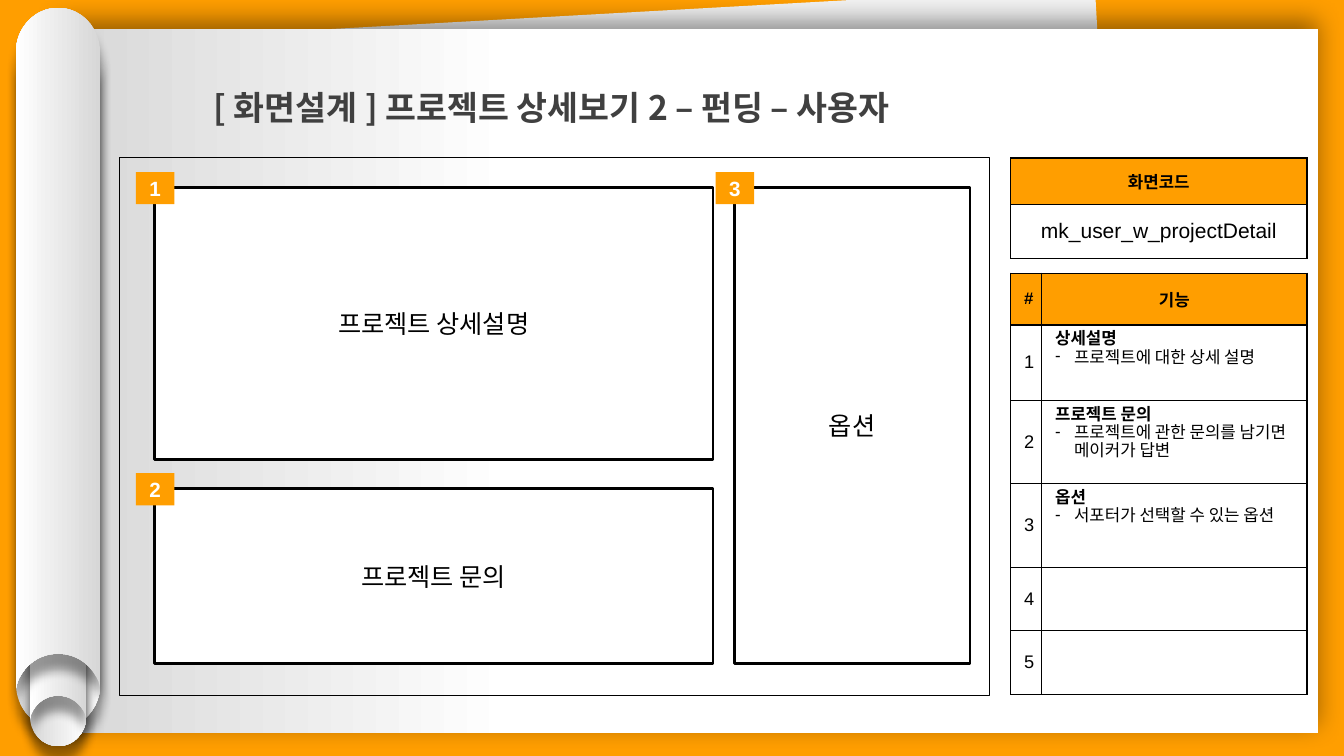
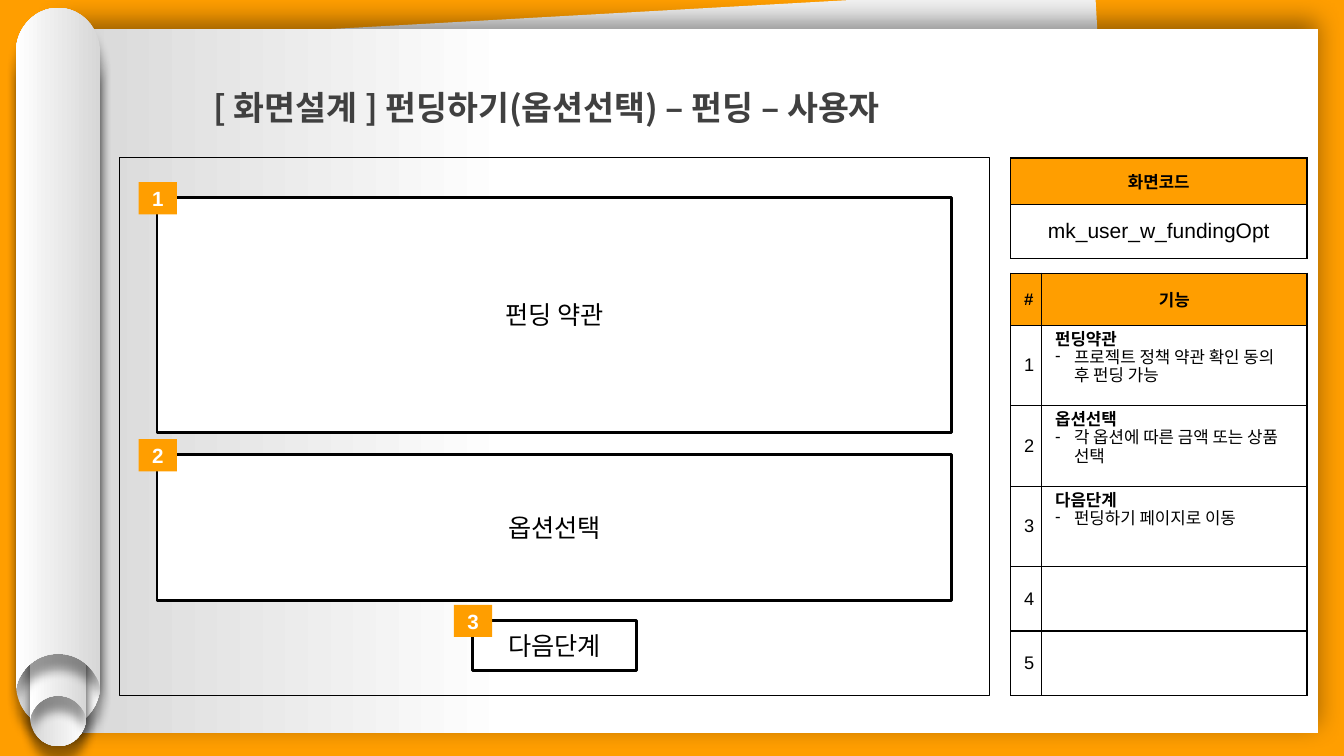
import dataclasses

import pptx
import pptx.dml.color
import pptx.enum.shapes
import pptx.enum.text
import pptx.oxml.ns
import pptx.shapes.shapetree
import pptx.util
from lxml import etree

Pt = pptx.util.Pt
rgb = pptx.dml.color.RGBColor.from_string
qn = pptx.oxml.ns.qn
ALIGN = pptx.enum.text.PP_ALIGN
ANCHOR = pptx.enum.text.MSO_ANCHOR
RECTANGLE = pptx.enum.shapes.MSO_SHAPE.RECTANGLE


@dataclasses.dataclass(frozen=True)
class Theme:
    accent: str = "FF9E00"
    ink: str = "000000"
    heading: str = "404040"
    white: str = "FFFFFF"
    back_sheet: str = "F2F2F2"
    shade: str = "D7D7D7"
    body_font: str = "Arial"
    title_font: str = "Noto Sans CJK KR"
    title_size: float = 24
    block_size: float = 18
    code_size: float = 15
    badge_size: float = 14.7
    number_size: float = 13
    table_size: float = 12
    table_leading: float = 13
    bullet_indent: float = 13.5
    thin: float = 0.75
    grid: float = 1
    thick: float = 2


THEME = Theme()
PAGE = (960, 540)
TITLE_BOX = (145.4, 44, 692, 51)
PANEL_BOX = (85.2, 112.8, 621.4, 383.8)
TABLE_LEFT, CODE_TOP, FUNCTION_TOP = 721.9, 112.8, 195.1
NUMBER_WIDTH, FUNCTION_WIDTH = 22.2, 189.5
CODE_ROWS = (33.1, 38.7)
BADGE = (27.4, 23)
BADGE_OVERLAP = (13.2, 11)

SCREENS = [
    {
        "title": "[ 화면설계 ] 프로젝트 상세보기 2 – 펀딩 – 사용자",
        "code": "mk_user_w_projectDetail",
        "row_heights": (37, 53.9, 59.5, 59.7, 45.2, 45.6),
        "functions": [
            ("상세설명", "프로젝트에 대한 상세 설명"),
            ("프로젝트 문의", "프로젝트에 관한 문의를 남기면 메이커가 답변"),
            ("옵션", "서포터가 선택할 수 있는 옵션"),
        ],
        "blocks": [
            ("프로젝트 상세설명", (110.3, 133.9, 399, 194.4)),
            ("프로젝트 문의", (110.3, 349, 399, 125)),
            ("옵션", (524.4, 133.9, 168.5, 340.1)),
        ],
    },
    {
        "title": "[ 화면설계 ] 펀딩하기(옵션선택) – 펀딩 – 사용자",
        "code": "mk_user_w_fundingOpt",
        "row_heights": (37.2, 57.5, 57.5, 57.5, 46, 46),
        "functions": [
            ("펀딩약관", "프로젝트 정책 약관 확인 동의 후 펀딩 가능"),
            ("옵션선택", "각 옵션에 따른 금액 또는 상품 선택"),
            ("다음단계", "펀딩하기 페이지로 이동"),
        ],
        "blocks": [
            ("펀딩 약관", (112.2, 141.1, 567.6, 167.6)),
            ("옵션선택", (112.2, 324.7, 567.6, 104.4)),
            ("다음단계", (337.4, 443, 117.4, 36)),
        ],
    },
]


def apply(target, **values):
    for name, value in values.items():
        setattr(target, name, value)


def points(lengths):
    return [Pt(length) for length in lengths]


def write(paragraph, text, size, color=THEME.ink, bold=False, font=THEME.body_font,
          align=ALIGN.CENTER):
    paragraph.alignment = align
    run = paragraph.add_run()
    run.text = text
    apply(run.font, size=Pt(size), bold=bold, name=font)
    run.font.color.rgb = rgb(color)


def add_rectangle(shapes, box, fill=None, line=None, width=THEME.thin):
    rectangle = shapes.add_shape(RECTANGLE, *points(box))
    rectangle.shadow.inherit = False
    if fill:
        rectangle.fill.solid()
        rectangle.fill.fore_color.rgb = rgb(fill)
    else:
        rectangle.fill.background()
    if line:
        rectangle.line.color.rgb = rgb(line)
        rectangle.line.width = Pt(width)
    else:
        rectangle.line.fill.background()
    return rectangle


def fill_gradient(shape, stops):
    shape.fill.gradient()
    shape.fill.gradient_angle = 180
    for stop, (position, color) in zip(shape.fill.gradient_stops, stops):
        stop.position = position
        stop.color.rgb = rgb(color)


def cast_shadow(shape, blur, distance, direction):
    shape.shadow.inherit = False
    effects = shape._element.spPr.find(qn("a:effectLst"))
    shadow = etree.SubElement(effects, qn("a:outerShdw"), {
        "blurRad": str(Pt(blur)), "dist": str(Pt(distance)),
        "dir": str(direction * 60000), "algn": "ctr", "rotWithShape": "0"})
    color = etree.SubElement(shadow, qn("a:srgbClr"), val=THEME.ink)
    etree.SubElement(color, qn("a:alpha"), val="40000")


def add_curved_outline(shapes, start, segments):
    """Closed outline; a segment of one point is a line, of three a Bezier curve."""
    builder = shapes.build_freeform(*points(start))
    builder.add_line_segments([points(point) for segment in segments
                               for point in segment], close=True)
    outline = builder.convert_to_shape()
    lines = iter(outline._element.findall(f".//{qn('a:lnTo')}"))
    for segment in segments:
        parts = [next(lines) for _ in segment]
        if len(parts) == 3:
            curve = etree.Element(qn("a:cubicBezTo"))
            parts[0].addprevious(curve)
            for part in parts:
                curve.append(part[0])
                part.getparent().remove(part)
    return outline


def add_curl(shapes, left, top, width, height, rotation):
    """Strip of rolled paper: domed at the top, hollowed at the bottom."""
    def at(across, down, base=0):
        return left + across * width, top + base + down * width

    segments = [
        [at(0.78, 0), at(1, 0.24), at(1, 0.53)],
        [at(1, 0, height)],
        [at(0.98, -0.08, height)],
        [at(0.89, -0.29, height), at(0.71, -0.41, height), at(0.5, -0.41, height)],
        [at(0.29, -0.41, height), at(0.11, -0.29, height), at(0.02, -0.08, height)],
        [at(0, 0, height)],
        [at(0, 0.53)],
        [at(0, 0.24), at(0.22, 0), at(0.5, 0)],
    ]
    curl = add_curved_outline(shapes, at(0.5, 0), segments)
    curl.rotation = rotation
    fill_gradient(curl, [(0, THEME.shade), (1, THEME.white)])
    curl.line.fill.background()
    cast_shadow(curl, 7, 11, 90)


def prepare_layout(layout):
    """Give the layout the paper scroll, the wireframe panel and the title place."""
    layout.background.fill.solid()
    layout.background.fill.fore_color.rgb = rgb(THEME.accent)
    for placeholder in list(layout.placeholders):
        if placeholder.placeholder_format.idx == 0:
            apply(placeholder, **dict(zip(("left", "top", "width", "height"),
                                          points(TITLE_BOX))))
        else:
            placeholder._element.getparent().remove(placeholder._element)

    shapes = pptx.shapes.shapetree.SlideShapes(layout.shapes._spTree, layout)
    back_sheet = add_rectangle(shapes, (65.5, 10.3, 730.8, 489.6), THEME.back_sheet)
    back_sheet.rotation = 356.8
    sheet = add_rectangle(shapes, (41.8, 20.9, 899.8, 502.9))
    fill_gradient(sheet, [(0.64, THEME.white), (1, THEME.shade)])
    cast_shadow(sheet, 18, 6, 270)
    wide, narrow = (60.2, 486), (40.2, 325.4)
    add_curl(shapes, 11.4, 34.4, *wide, 180)
    add_curl(shapes, 21.4, 207.6, *narrow, 180)
    add_curl(shapes, 21.4, 188, *narrow, 0)
    add_curl(shapes, 11.4, 5.6, *wide, 0)
    add_rectangle(shapes, PANEL_BOX, line=THEME.ink)


def set_title(slide, text):
    frame = slide.shapes.title.text_frame
    apply(frame, word_wrap=True, vertical_anchor=ANCHOR.TOP,
          auto_size=pptx.enum.text.MSO_AUTO_SIZE.SHAPE_TO_FIT_TEXT)
    paragraph = frame.paragraphs[0]
    paragraph.line_spacing = 1.5
    write(paragraph, text, THEME.title_size, THEME.heading, True, THEME.title_font,
          ALIGN.LEFT)


def format_cell(cell, fill):
    apply(cell, margin_left=Pt(9.6), margin_right=Pt(9.6), margin_top=Pt(4.8),
          margin_bottom=Pt(4.8), vertical_anchor=ANCHOR.MIDDLE)
    properties = cell._tc.get_or_add_tcPr()
    for side in ("lnL", "lnR", "lnT", "lnB"):
        border = etree.SubElement(properties, qn(f"a:{side}"), w=str(Pt(THEME.grid)))
        solid = etree.SubElement(border, qn("a:solidFill"))
        etree.SubElement(solid, qn("a:srgbClr"), val=THEME.ink)
    if fill:
        cell.fill.solid()
        cell.fill.fore_color.rgb = rgb(fill)
    else:
        cell.fill.background()


def add_grid(slide, top, widths, heights, headings):
    """Table with an orange heading row and clear rows below it."""
    box = (TABLE_LEFT, top, sum(widths), sum(heights))
    table = slide.shapes.add_table(len(heights), len(widths), *points(box)).table
    apply(table, first_row=False, horz_banding=False)
    for column, width in zip(table.columns, widths):
        column.width = Pt(width)
    for index, (row, height) in enumerate(zip(table.rows, heights)):
        row.height = Pt(height)
        for cell in row.cells:
            format_cell(cell, None if index else THEME.accent)
    for cell, heading in zip(table.rows[0].cells, headings):
        write(cell.text_frame.paragraphs[0], heading, THEME.table_size, bold=True)
    return table


def add_code_table(slide, code):
    table = add_grid(slide, CODE_TOP, [NUMBER_WIDTH + FUNCTION_WIDTH], CODE_ROWS,
                     ["화면코드"])
    write(table.cell(1, 0).text_frame.paragraphs[0], code, THEME.code_size)


def describe_function(cell, name, detail):
    cell.vertical_anchor = ANCHOR.TOP
    heading = cell.text_frame.paragraphs[0]
    item = cell.text_frame.add_paragraph()
    properties = item._p.get_or_add_pPr()
    properties.set("marL", str(Pt(THEME.bullet_indent)))
    properties.set("indent", str(-Pt(THEME.bullet_indent)))
    etree.SubElement(properties, qn("a:buFont"), typeface=THEME.body_font)
    etree.SubElement(properties, qn("a:buChar"), char="-")
    for paragraph, text, bold in ((heading, name, True), (item, detail, False)):
        paragraph.line_spacing = Pt(THEME.table_leading)
        write(paragraph, text, THEME.table_size, bold=bold, align=ALIGN.LEFT)


def add_function_table(slide, row_heights, functions):
    table = add_grid(slide, FUNCTION_TOP, [NUMBER_WIDTH, FUNCTION_WIDTH], row_heights,
                     ["#", "기능"])
    for number in range(1, len(row_heights)):
        write(table.cell(number, 0).text_frame.paragraphs[0], str(number),
              THEME.number_size)
    for number, (name, detail) in enumerate(functions, 1):
        describe_function(table.cell(number, 1), name, detail)


def add_label(rectangle, text, size, **style):
    rectangle.text_frame.word_wrap = True
    rectangle.text_frame.vertical_anchor = ANCHOR.MIDDLE
    write(rectangle.text_frame.paragraphs[0], text, size, **style)


def add_block(slide, label, box):
    area = add_rectangle(slide.shapes, box, THEME.white, THEME.ink, THEME.thick)
    add_label(area, label, THEME.block_size)


def add_badge(slide, number, box):
    """Number badge over the top left corner of a block."""
    corner = [edge - overlap for edge, overlap in zip(box, BADGE_OVERLAP)]
    badge = add_rectangle(slide.shapes, (*corner, *BADGE), THEME.accent)
    add_label(badge, str(number), THEME.badge_size, color=THEME.white, bold=True)


def main():
    deck = pptx.Presentation()
    deck.slide_width, deck.slide_height = points(PAGE)
    layout = deck.slide_layouts.get_by_name("Title Only")
    prepare_layout(layout)
    for screen in SCREENS:
        slide = deck.slides.add_slide(layout)
        set_title(slide, screen["title"])
        add_code_table(slide, screen["code"])
        add_function_table(slide, screen["row_heights"], screen["functions"])
        for label, box in screen["blocks"]:
            add_block(slide, label, box)
        for number, (_, box) in enumerate(screen["blocks"], 1):
            add_badge(slide, number, box)
    deck.save("out.pptx")


if __name__ == "__main__":
    main()
